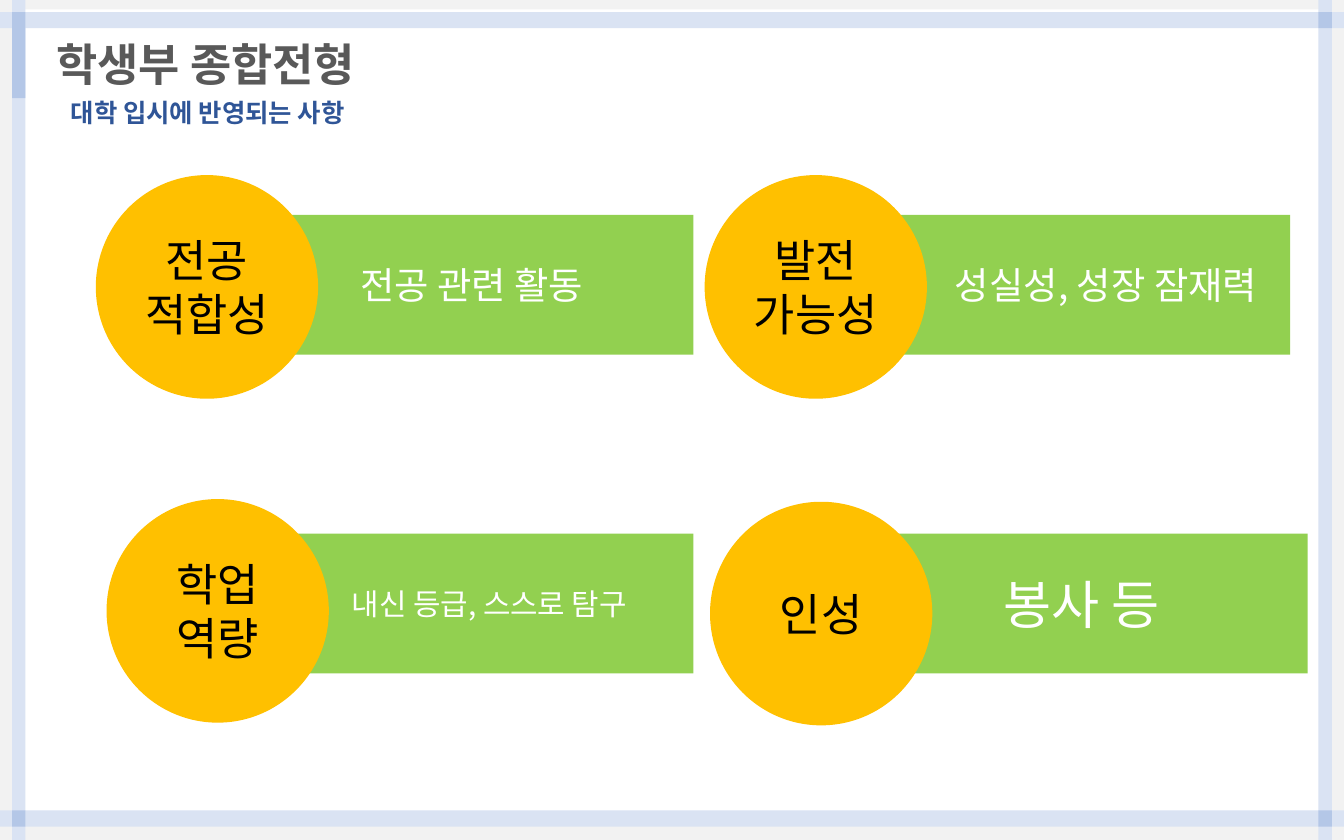
from pptx import Presentation
from pptx.dml.color import RGBColor
from pptx.enum.shapes import MSO_SHAPE as Shape
from pptx.enum.text import MSO_ANCHOR as Anchor, PP_ALIGN as Align
from pptx.oxml.ns import qn
from pptx.util import Inches, Pt
from lxml import etree

FONT = "Noto Sans CJK KR"
WHITE, GREEN, AMBER = "FFFFFF", "92D050", "FFC000"
PALE_BLUE, MID_BLUE = "DAE3F3", "B4C7E7"

deck = Presentation()
deck.slide_width, deck.slide_height = Inches(10), Inches(6.25)
page = deck.slides.add_slide(deck.slide_layouts[6])
page.background.fill.solid()
page.background.fill.fore_color.rgb = RGBColor.from_string("F2F2F2")


def add_block(kind, left, top, width, height, color):
    block = page.shapes.add_shape(kind, Inches(left), Inches(top), Inches(width), Inches(height))
    block.shadow.inherit = False
    block.fill.solid()
    block.fill.fore_color.rgb = RGBColor.from_string(color)
    block.line.fill.background()
    return block


def write(box, text, size, color, anchor=Anchor.MIDDLE, align=Align.CENTER, bold=False):
    frame = box.text_frame
    frame.word_wrap = True
    frame.vertical_anchor = anchor
    frame.text = text
    for para in frame.paragraphs:
        para.alignment = align
        for span in para.runs:
            span.font.name = FONT
            span.font.size = Pt(size)
            span.font.bold = bold
            span.font.color.rgb = RGBColor.from_string(color)
            east_asian = etree.SubElement(span.font._element, qn("a:ea"))
            east_asian.set("typeface", FONT)
    return frame


add_block(Shape.RECTANGLE, 0.09, 0.07, 9.82, 6.06, WHITE)
for left in (0.09, 9.81):
    add_block(Shape.RECTANGLE, left, 0, 0.1, 6.25, PALE_BLUE)
for top in (0.09, 6.03):
    add_block(Shape.RECTANGLE, 0, top, 10, 0.12, PALE_BLUE)
for left, top, height in ((0.09, 0.09, 0.64), (0.09, 6.03, 0.12), (9.81, 0.09, 0.12), (9.81, 6.03, 0.12)):
    add_block(Shape.RECTANGLE, left, top, 0.1, height, MID_BLUE)

bars = (
    (6.36, 3.97, "봉사 등", 28, 0.1),
    (6.23, 1.6, "성실성, 성장 잠재력", 20, 0.73),
    (1.79, 3.97, "내신 등급, 스스로 탐구", 16, 0.43),
    (1.79, 1.6, "전공 관련 활동", 20, 0.17),
)
for left, top, text, size, inset in bars:
    bar = add_block(Shape.RECTANGLE, left, top, 3.37, 1.04, GREEN)
    write(bar, text, size, WHITE).margin_left = Inches(inset)

title = page.shapes.add_textbox(Inches(0.32), Inches(0.31), Inches(2.95), Inches(0.42))
frame = write(title, "학생부 종합전형", 24, "595959", Anchor.BOTTOM, Align.LEFT, True)
frame.paragraphs[0].line_spacing = 0.9

subtitle = page.shapes.add_textbox(Inches(0.32), Inches(0.72), Inches(2.45), Inches(0.3))
frame = write(subtitle, "대학 입시에 반영되는 사항", 13.6, "2F5597", Anchor.TOP, bold=True)
frame.paragraphs[0].line_spacing = 0.8
frame.paragraphs[0].space_before = Pt(7.5)

circles = (
    (0.72, 1.31, "전공\n적합성"),
    (5.25, 1.31, "발전\n가능성"),
    (5.29, 3.74, "인성"),
    (0.8, 3.72, "학업\n역량"),
)
for left, top, text in circles:
    circle = add_block(Shape.OVAL, left, top, 1.64, 1.65, AMBER)
    circle.line.color.rgb = RGBColor.from_string(AMBER)
    circle.line.width = Pt(1)
    write(circle, text, 24, "000000")

deck.save("out.pptx")
